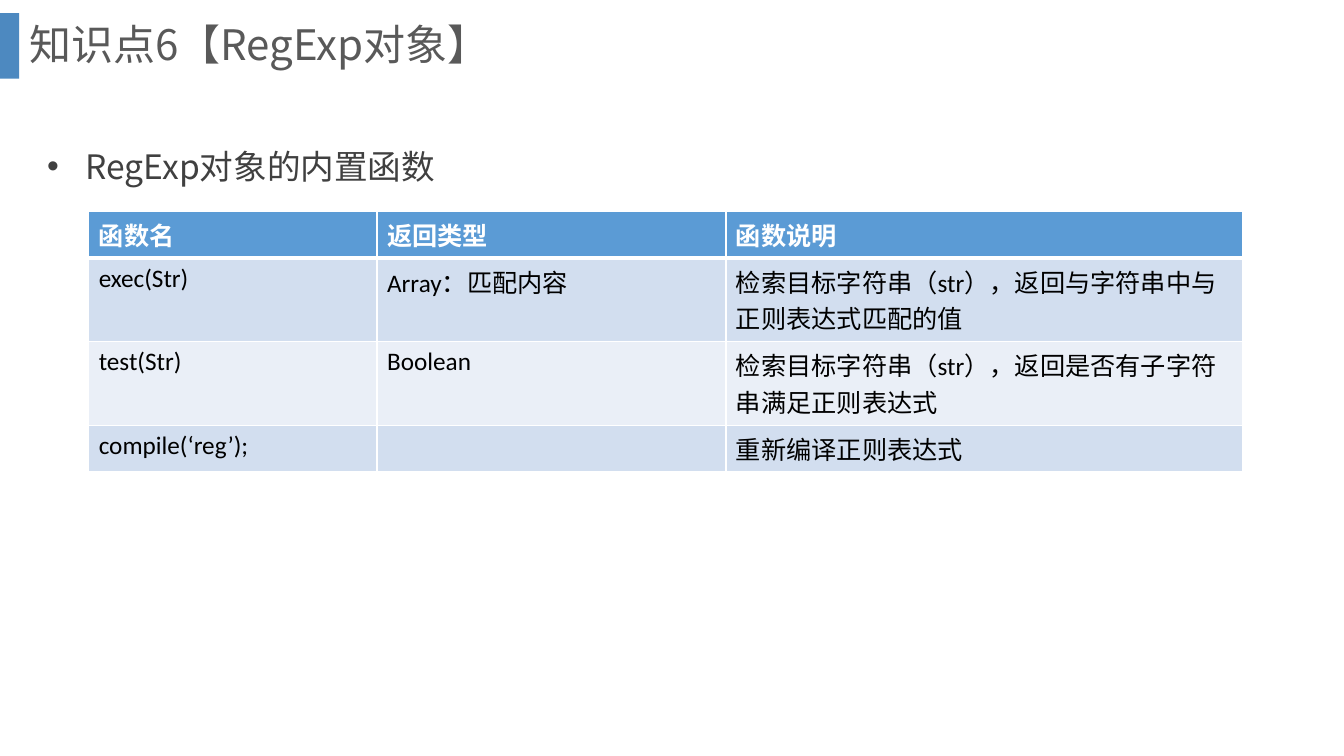
"""Build a slide on the built-in functions of the RegExp object."""
from dataclasses import dataclass

from lxml import etree
from pptx import Presentation
from pptx.dml.color import RGBColor
from pptx.enum.shapes import MSO_SHAPE
from pptx.enum.text import MSO_ANCHOR, PP_ALIGN
from pptx.oxml.ns import qn
from pptx.util import Inches, Pt

RECT = MSO_SHAPE.RECTANGLE
MIDDLE = MSO_ANCHOR.MIDDLE
TOP = MSO_ANCHOR.TOP
LEFT = PP_ALIGN.LEFT

TITLE = "知识点6【RegExp对象】"
POINT = "RegExp对象的内置函数"
ROWS = [
    ("函数名", "返回类型", "函数说明"),
    ("exec(Str)", "Array：匹配内容", "检索目标字符串（str），返回与字符串中与正则表达式匹配的值"),
    ("test(Str)", "Boolean", "检索目标字符串（str），返回是否有子字符串满足正则表达式"),
    ("compile(‘reg’);", "", "重新编译正则表达式"),
]
WIDTHS = (2.86, 3.46, 5.12)
HEIGHTS = (0.46, 0.83, 0.83, 0.46)


@dataclass(frozen=True)
class Theme:
    """Colours, fonts and type sizes."""
    accent: str = "2E75B6"
    title: str = "595959"
    point: str = "404040"
    head: str = "5B9BD5"
    bands: tuple = ("D2DEEF", "EAEFF7")
    white: str = "FFFFFF"
    black: str = "000000"
    cjk: str = "Noto Sans CJK SC"
    latin: str = "Calibri"
    title_pt: int = 30
    point_pt: int = 24
    cell_pt: int = 18


THEME = Theme()


def box(left, top, width, height):
    return [Inches(v) for v in (left, top, width, height)]


def paint(fill, color):
    fill.solid()
    fill.fore_color.rgb = RGBColor.from_string(color)


def style(par, size, color, face, bold=False):
    par.alignment = LEFT
    for run in par.runs:
        font = run.font
        font.size, font.name, font.bold = Pt(size), face, bold
        font.color.rgb = RGBColor.from_string(color)
        east = etree.SubElement(run._r.get_or_add_rPr(), qn("a:ea"))
        east.set("typeface", THEME.cjk)


def edge(cell, side, points):
    props = cell._tc.get_or_add_tcPr()
    line = etree.SubElement(props, qn(f"a:ln{side}"), w=str(Pt(points)))
    solid = etree.SubElement(line, qn("a:solidFill"))
    etree.SubElement(solid, qn("a:srgbClr"), val=THEME.white)


def add_bar(slide):
    bar = slide.shapes.add_shape(RECT, *box(0, 0.13, 0.19, 0.65))
    bar.shadow.inherit = False
    bar.line.fill.background()
    paint(bar.fill, THEME.accent)
    color = bar.fill._xPr.find(".//" + qn("a:srgbClr"))
    etree.SubElement(color, qn("a:alpha"), val="85000")


def add_title(slide):
    title = slide.shapes.title
    title.left, title.top, title.width, title.height = box(0.19, 0, 12.66, 0.93)
    frame = title.text_frame
    frame.text = TITLE
    frame.vertical_anchor = MIDDLE
    par = frame.paragraphs[0]
    par.line_spacing = 0.9
    style(par, THEME.title_pt, THEME.title, THEME.cjk)


def add_point(slide):
    frame = slide.shapes.add_textbox(*box(0.37, 1.2, 12.05, 5.46)).text_frame
    frame.word_wrap = True
    frame.text = POINT
    par = frame.paragraphs[0]
    par.line_spacing = 1.5
    props = par._p.get_or_add_pPr()
    props.set("marL", str(Inches(0.38)))
    props.set("indent", str(-Inches(0.38)))
    etree.SubElement(props, qn("a:buFont"), typeface="Arial")
    etree.SubElement(props, qn("a:buChar"), char="•")
    style(par, THEME.point_pt, THEME.point, THEME.cjk)


def add_grid(slide):
    area = box(0.88, 2.1, sum(WIDTHS), sum(HEIGHTS))
    table = slide.shapes.add_table(len(ROWS), len(WIDTHS), *area).table
    for col, width in zip(table.columns, WIDTHS):
        col.width = Inches(width)
    for r, (texts, height) in enumerate(zip(ROWS, HEIGHTS)):
        table.rows[r].height = Inches(height)
        head = r == 0
        fill = THEME.head if head else THEME.bands[(r - 1) % 2]
        color = THEME.white if head else THEME.black
        for c, text in enumerate(texts):
            cell = table.cell(r, c)
            cell.text_frame.text = text
            cell.vertical_anchor = TOP
            par = cell.text_frame.paragraphs[0]
            par.font.size = Pt(THEME.cell_pt)
            style(par, THEME.cell_pt, color, THEME.latin, head)
            for side, points in zip("LRTB", (1, 1, 3 if r == 1 else 1, 3 if head else 1)):
                edge(cell, side, points)
            paint(cell.fill, fill)


def main():
    deck = Presentation()
    deck.slide_width, deck.slide_height = Inches(13.33), Inches(7.5)
    slide = deck.slides.add_slide(deck.slide_layouts[5])
    add_bar(slide)
    add_title(slide)
    add_point(slide)
    add_grid(slide)
    deck.save("out.pptx")


if __name__ == "__main__":
    main()
